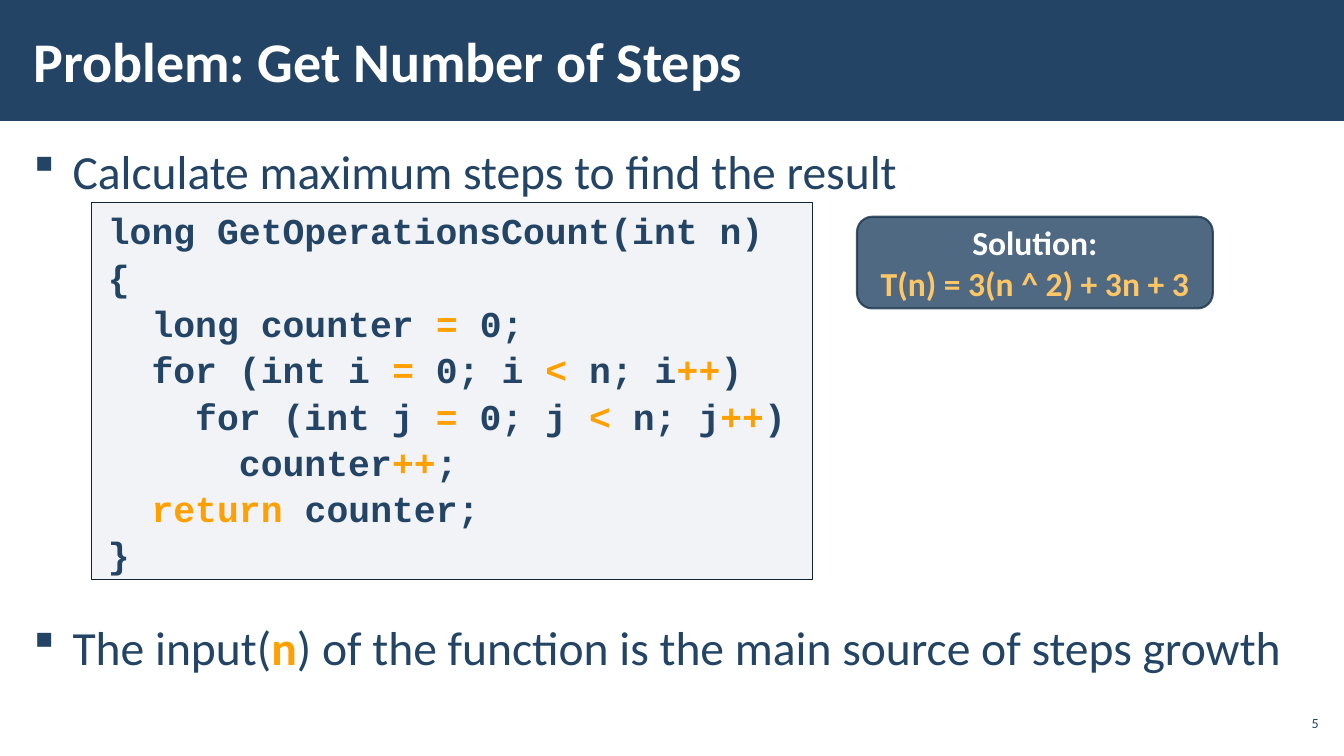
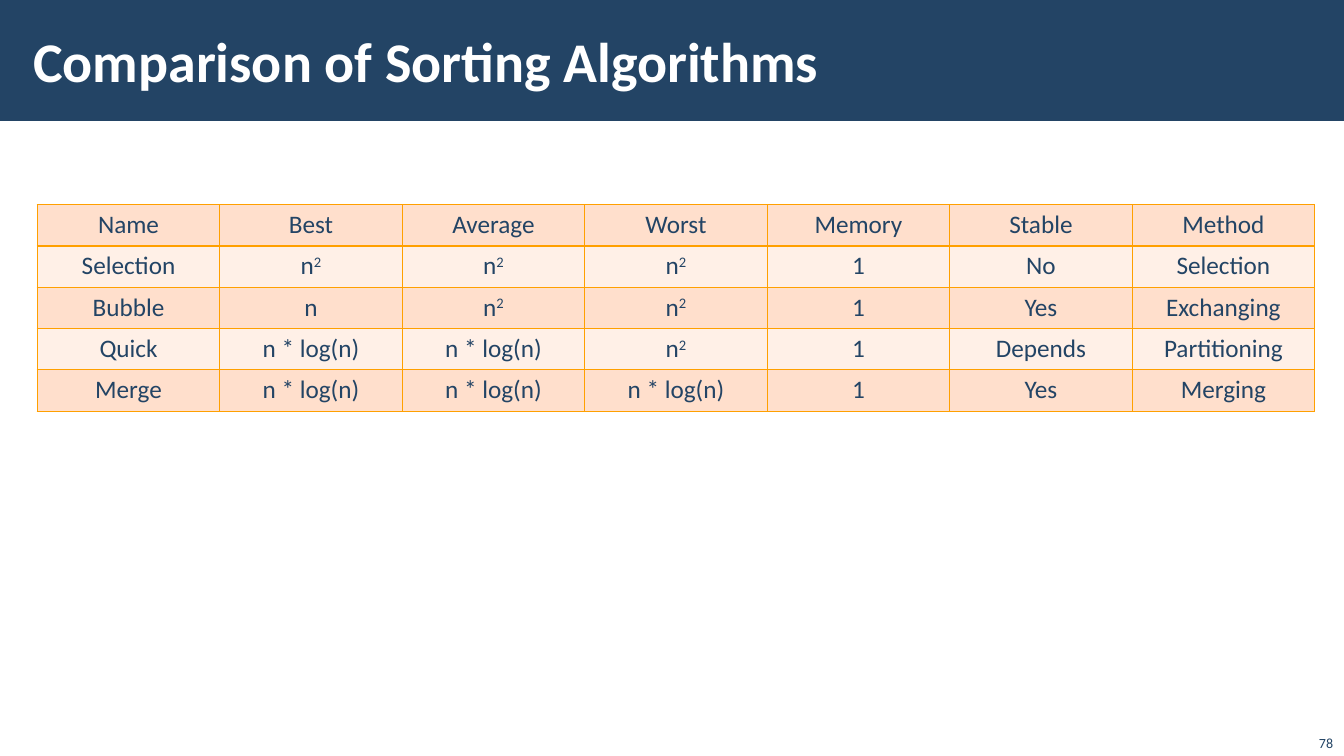
import dataclasses

import pptx
import pptx.dml.color
import pptx.enum.shapes
import pptx.enum.text
import pptx.oxml
import pptx.oxml.ns
import pptx.util

ANCHOR = pptx.enum.text.MSO_ANCHOR
ALIGN = pptx.enum.text.PP_ALIGN
SHAPE = pptx.enum.shapes.MSO_SHAPE
EMU_PER_PX = 9144


@dataclasses.dataclass(frozen=True)
class Theme:
    navy: str = "234465"
    white: str = "FFFFFF"
    orange: str = "FFA000"
    amber: str = "FFC666"
    code_fill: str = "ADB4C3"
    code_line: str = "112233"
    callout_line: str = "1A334C"
    row_fills: tuple = ("FFDFCC", "FFF0E7")
    font: str = "Calibri"
    mono: str = "Courier New"
    title_size: int = 40
    body_size: int = 34
    code_size: int = 26
    callout_size: int = 24
    table_size: int = 18
    number_size: int = 10


THEME = Theme()

CODE = [
    (0, ["long GetOperationsCount(int n)"]),
    (0, ["{"]),
    (1, ["long counter ", "=", " 0;"]),
    (1, ["for (int i ", "=", " 0; i ", "<", " n; i", "++", ")"]),
    (2, ["for (int j ", "=", " 0; j ", "<", " n; j", "++", ")"]),
    (3, ["counter", "++", ";"]),
    (1, ["return", " counter;"]),
    (0, ["}"]),
]
HIGHLIGHTED = {"=", "<", "++", "return"}

SORTS = [
    ["Name", "Best", "Average", "Worst", "Memory", "Stable", "Method"],
    ["Selection", "n²", "n²", "n²", "1", "No", "Selection"],
    ["Bubble", "n", "n²", "n²", "1", "Yes", "Exchanging"],
    ["Quick", "n * log(n)", "n * log(n)", "n²", "1", "Depends", "Partitioning"],
    ["Merge", "n * log(n)", "n * log(n)", "n * log(n)", "1", "Yes", "Merging"],
]


def px(length):
    return pptx.util.Emu(length * EMU_PER_PX)


def rgb(color):
    return pptx.dml.color.RGBColor.from_string(color)


def add_span(para, text, size, color, bold=False, font=THEME.font):
    span = para.add_run()
    span.text = text
    span.font.name = font
    span.font.size = pptx.util.Pt(size)
    span.font.bold = bold
    span.font.color.rgb = rgb(color)
    return span


def set_frame(frame, anchor, across=10, down=5):
    frame.word_wrap = True
    frame.vertical_anchor = anchor
    frame.margin_left = frame.margin_right = px(across)
    frame.margin_top = frame.margin_bottom = px(down)


def set_alpha(fill, percent):
    for color in fill.iter(pptx.oxml.ns.qn("a:srgbClr")):
        alpha = color.makeelement(pptx.oxml.ns.qn("a:alpha"), {"val": str(percent * 1000)})
        color.append(alpha)


def add_panel(page, kind, area, fill, line=None, weight=1):
    panel = page.shapes.add_shape(kind, *map(px, area))
    panel.shadow.inherit = False
    panel.fill.solid()
    panel.fill.fore_color.rgb = rgb(fill)
    if line:
        panel.line.color.rgb = rgb(line)
        panel.line.width = pptx.util.Pt(weight)
    else:
        panel.line.fill.background()
    return panel


def add_band(page):
    band = add_panel(page, SHAPE.RECTANGLE, (0, 0, 1334, 120), THEME.navy)
    band.element.getparent().insert(2, band.element)


def add_page(deck, title, number, number_area, number_anchor, number_inset):
    page = deck.slides.add_slide(deck.slide_layouts[5])
    add_band(page)
    heading = page.shapes.title
    heading.left, heading.top, heading.width, heading.height = map(px, (21, 11, 1063, 97))
    set_frame(heading.text_frame, ANCHOR.MIDDLE, 12, 4)
    para = heading.text_frame.paragraphs[0]
    para.alignment = ALIGN.LEFT
    add_span(para, title, THEME.title_size, THEME.white, True)

    box = page.shapes.add_textbox(*map(px, number_area))
    set_frame(box.text_frame, number_anchor, *number_inset)
    para = box.text_frame.paragraphs[0]
    para.alignment = ALIGN.RIGHT
    add_span(para, number, THEME.number_size, THEME.navy)
    return page


def add_bullet(page, top, spans):
    box = page.shapes.add_textbox(*map(px, (21, top, 1292, 80)))
    set_frame(box.text_frame, ANCHOR.TOP, 12, 4)
    para = box.text_frame.paragraphs[0]
    para.line_spacing = 1.1
    para.space_before = para.space_after = pptx.util.Pt(6)
    props = para._p.get_or_add_pPr()
    props.set("marL", str(px(39)))
    props.set("indent", str(px(-39)))
    for tag, name, value in (("a:buFont", "typeface", "Wingdings"), ("a:buChar", "char", "§")):
        props.append(props.makeelement(pptx.oxml.ns.qn(tag), {name: value}))
    for text, strong in spans:
        color = THEME.orange if strong else THEME.navy
        add_span(para, text, THEME.body_size, color, strong)


def add_code(page, area, lines):
    panel = add_panel(page, SHAPE.RECTANGLE, area, THEME.code_fill, THEME.code_line)
    set_alpha(panel.element.spPr.find(pptx.oxml.ns.qn("a:solidFill")), 15)
    frame = panel.text_frame
    set_frame(frame, ANCHOR.MIDDLE, 16, 12)
    indent = pptx.util.Pt(THEME.code_size * 1.2)
    for index, (level, texts) in enumerate(lines):
        para = frame.add_paragraph() if index else frame.paragraphs[0]
        para.alignment = ALIGN.LEFT
        para.line_spacing = 1.06
        para._p.get_or_add_pPr().set("marL", str(level * indent))
        for text in texts:
            color = THEME.orange if text in HIGHLIGHTED else THEME.navy
            add_span(para, text, THEME.code_size, color, True, THEME.mono)


def add_callout(page, area, lines):
    panel = add_panel(page, SHAPE.ROUNDED_RECTANGLE, area, THEME.navy, THEME.callout_line, 1.5)
    set_alpha(panel.element.spPr, 80)
    frame = panel.text_frame
    set_frame(frame, ANCHOR.MIDDLE)
    for index, (text, color) in enumerate(lines):
        para = frame.add_paragraph() if index else frame.paragraphs[0]
        para.alignment = ALIGN.CENTER
        add_span(para, text, THEME.callout_size, color, True)


def set_borders(cell, color):
    props = cell._tc.get_or_add_tcPr()
    for index, side in enumerate(("lnL", "lnR", "lnT", "lnB")):
        border = pptx.oxml.parse_xml(
            f'<a:{side} {pptx.oxml.ns.nsdecls("a")} w="12700"><a:solidFill>'
            f'<a:srgbClr val="{color}"/></a:solidFill></a:{side}>'
        )
        props.insert(index, border)


def fill_cell(cell, text, fill):
    cell.fill.solid()
    cell.fill.fore_color.rgb = rgb(fill)
    set_borders(cell, THEME.orange)
    para = cell.text_frame.paragraphs[0]
    para.alignment = ALIGN.CENTER
    base = text.removesuffix("²")
    add_span(para, base, THEME.table_size, THEME.navy)
    if base != text:
        power = add_span(para, "2", THEME.table_size, THEME.navy)
        power.font._element.set("baseline", "30000")


def add_grid(page, left, top, column_width, row_height, rows):
    columns = len(rows[0])
    area = (left, top, column_width * columns, row_height * len(rows))
    grid = page.shapes.add_table(len(rows), columns, *map(px, area)).table
    grid.first_row = grid.horz_banding = False
    for row, texts in enumerate(rows):
        for column, text in enumerate(texts):
            fill_cell(grid.cell(row, column), text, THEME.row_fills[row % 2])


def main():
    deck = pptx.Presentation()
    deck.slide_width, deck.slide_height = px(1333), px(750)

    page = add_page(deck, "Problem: Get Number of Steps", "5",
                    (1265, 700, 47, 34), ANCHOR.MIDDLE, (4, 4))
    add_bullet(page, 131, [("Calculate maximum steps to find the result", False)])
    add_bullet(page, 603, [
        ("The input(", False),
        ("n", True),
        (") of the function is the main source of steps growth", False),
    ])
    add_code(page, (91, 201, 715, 374), CODE)
    add_callout(page, (850, 215, 353, 91), [
        ("Solution:", THEME.white),
        ("T(n) = 3(n ^ 2) + 3n + 3", THEME.amber),
    ])

    page = add_page(deck, "Comparison of Sorting Algorithms", "78",
                    (1282, 718, 50, 32), ANCHOR.BOTTOM, (10, 5))
    add_grid(page, 37, 203, 181, 41, SORTS)

    deck.save("out.pptx")


if __name__ == "__main__":
    main()
